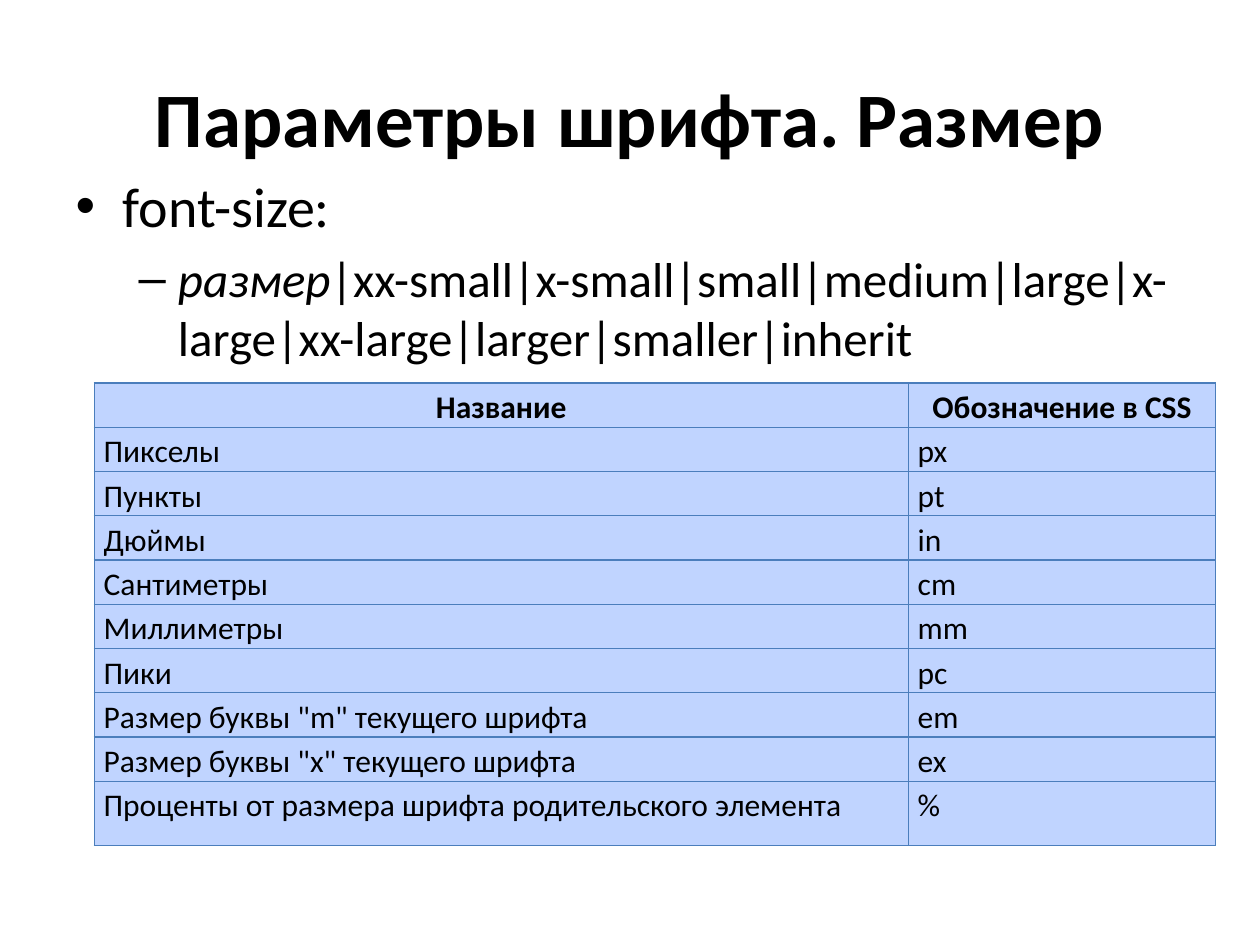
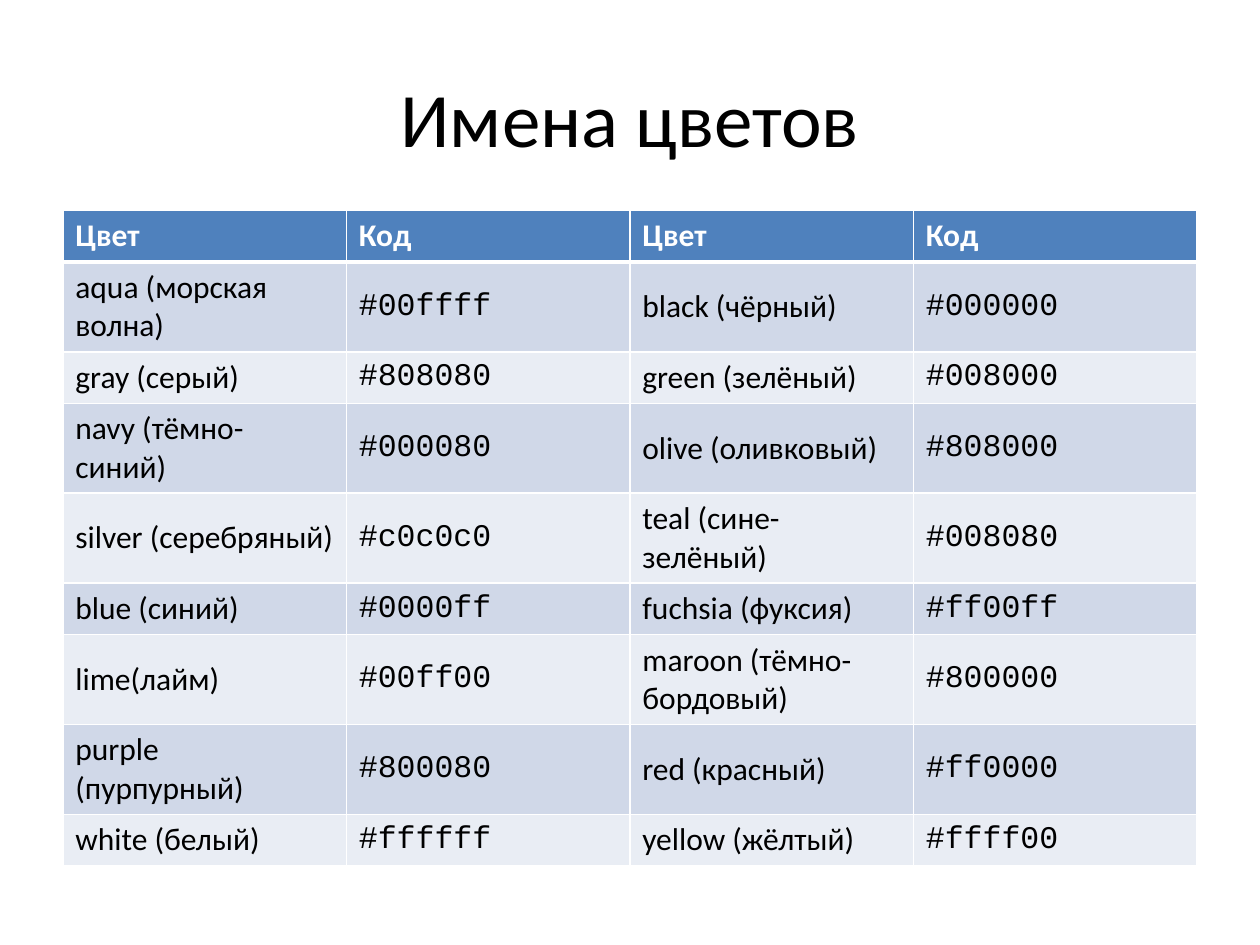
from dataclasses import dataclass

from lxml import etree
from pptx import Presentation
from pptx import util as u
from pptx.dml.color import RGBColor
from pptx.enum import text
from pptx.oxml import ns

BODY_FONT = "Calibri"
CODE_FONT = "Courier New"
BLACK, WHITE = "000000", "FFFFFF"
TITLE_CONTENT_LAYOUT, TITLE_LAYOUT = 1, 5
ROW, TALL_ROW = 1.04, 1.78

UNITS = [
    ("Название", "Обозначение в CSS"),
    ("Пикселы", "px"),
    ("Пункты", "pt"),
    ("Дюймы", "in"),
    ("Сантиметры", "cm"),
    ("Миллиметры", "mm"),
    ("Пики", "pc"),
    ('Размер буквы "m" текущего шрифта', "em"),
    ('Размер буквы "x" текущего шрифта', "ex"),
    ("Проценты от размера шрифта родительского элемента", "%"),
]
COLOUR_NAMES = [
    ("Цвет", "Код", "Цвет", "Код"),
    ("aqua (морская волна)", "#00ffff", "black (чёрный)", "#000000"),
    ("gray (серый)", "#808080", "green (зелёный)", "#008000"),
    ("navy (тёмно-синий)", "#000080", "olive (оливковый)", "#808000"),
    ("silver (серебряный)", "#c0c0c0", "teal (сине-зелёный)", "#008080"),
    ("blue (синий)", "#0000ff", "fuchsia (фуксия)", "#ff00ff"),
    ("lime(лайм)", "#00ff00", "maroon (тёмно-бордовый)", "#800000"),
    ("purple (пурпурный)", "#800080", "red (красный)", "#ff0000"),
    ("white (белый)", "#ffffff", "yellow (жёлтый)", "#ffff00"),
]


@dataclass
class TableStyle:
    header_fill: str
    band_fills: tuple
    header_color: str
    header_align: text.PP_ALIGN
    border_color: str
    border_width: float
    header_rule: float
    margins: tuple
    anchor: text.MSO_ANCHOR
    line_spacing: float


UNITS_STYLE = TableStyle(
    "C0D4FF", ("C0D4FF",), BLACK, text.PP_ALIGN.CENTER, "4B7EBC", 0.75, 0.75,
    (0.19, 0), text.MSO_ANCHOR.TOP, 1.15)
COLOURS_STYLE = TableStyle(
    "4F81BD", ("D0D8E8", "E9EDF4"), WHITE, text.PP_ALIGN.LEFT, WHITE, 1, 3,
    (0.25, 0.13), text.MSO_ANCHOR.MIDDLE, 1.0)


def rgb(value):
    return RGBColor.from_string(value)


def format_font(font, size, color=BLACK, bold=False, name=BODY_FONT):
    font.name = name
    font.size = u.Pt(size)
    font.bold = bold
    font.color.rgb = rgb(color)


def place(shape, left, top, width, height):
    shape.left, shape.top = u.Cm(left), u.Cm(top)
    shape.width, shape.height = u.Cm(width), u.Cm(height)


def add_titled_slide(presentation, layout, title, bold=False):
    slide = presentation.slides.add_slide(presentation.slide_layouts[layout])
    shape = slide.shapes.title
    place(shape, 1.27, 0.76, 22.86, 3.18)
    shape.text_frame.text = title
    shape.text_frame.vertical_anchor = text.MSO_ANCHOR.MIDDLE
    paragraph = shape.text_frame.paragraphs[0]
    paragraph.alignment = text.PP_ALIGN.CENTER
    format_font(paragraph.runs[0].font, 44, bold=bold)
    return slide


def fill_property_list(slide, name, variable, keywords):
    body = slide.placeholders[1]
    place(body, 1.27, 3.33, 24.13, 14.6)
    body.text_frame.text = name
    format_font(body.text_frame.paragraphs[0].runs[0].font, 32)
    values = body.text_frame.add_paragraph()
    values.level = 1
    values.text = variable
    values.add_run().text = keywords
    for run in values.runs:
        format_font(run.font, 28)
    values.runs[0].font.italic = True


def set_borders(cell, color, widths):
    properties = cell._tc.get_or_add_tcPr()
    for side, width in zip("LRTB", widths):
        line = etree.SubElement(properties, ns.qn(f"a:ln{side}"), w=str(u.Pt(width)))
        fill = etree.SubElement(line, ns.qn("a:solidFill"))
        etree.SubElement(fill, ns.qn("a:srgbClr"), val=color)


def format_cell(cell, value, row, style):
    header = row == 0
    thin = style.border_width
    top = style.header_rule if row == 1 else thin
    bottom = style.header_rule if header else thin
    set_borders(cell, style.border_color, (thin, thin, top, bottom))
    cell.fill.solid()
    band = style.band_fills[(row - 1) % len(style.band_fills)]
    cell.fill.fore_color.rgb = rgb(style.header_fill if header else band)
    horizontal, vertical = style.margins
    cell.margin_left = cell.margin_right = u.Cm(horizontal)
    cell.margin_top = cell.margin_bottom = u.Cm(vertical)
    cell.vertical_anchor = style.anchor
    cell.text_frame.text = value
    paragraph = cell.text_frame.paragraphs[0]
    paragraph.line_spacing = style.line_spacing
    paragraph.alignment = style.header_align if header else text.PP_ALIGN.LEFT
    format_font(paragraph.runs[0].font, 18,
                color=style.header_color if header else BLACK, bold=header,
                name=CODE_FONT if value.startswith("#") else BODY_FONT)


def add_styled_table(slide, left, top, widths, heights, rows, style):
    table = slide.shapes.add_table(
        len(rows), len(widths), u.Cm(left), u.Cm(top),
        u.Cm(sum(widths)), u.Cm(sum(heights))).table
    for column, width in zip(table.columns, widths):
        column.width = u.Cm(width)
    for row, height in zip(table.rows, heights):
        row.height = u.Cm(height)
    for row_index, values in enumerate(rows):
        for column_index, value in enumerate(values):
            format_cell(table.cell(row_index, column_index), value, row_index, style)


def main():
    presentation = Presentation()
    presentation.slide_width, presentation.slide_height = u.Cm(25.4), u.Cm(19.05)

    sizes = add_titled_slide(presentation, TITLE_CONTENT_LAYOUT,
                             "Параметры шрифта. Размер", bold=True)
    fill_property_list(
        sizes, "font-size:", "размер",
        "|xx-small|x-small|small|medium|large|x-large|xx-large|larger|smaller|inherit")
    unit_heights = [0.89] * (len(UNITS) - 1) + [1.3]
    add_styled_table(sizes, 1.9, 7.72, [16.41, 6.2], unit_heights, UNITS, UNITS_STYLE)

    colours = add_titled_slide(presentation, TITLE_LAYOUT, "Имена цветов")
    colour_heights = [ROW, TALL_ROW, ROW, TALL_ROW, TALL_ROW,
                      ROW, TALL_ROW, TALL_ROW, ROW]
    add_styled_table(colours, 1.27, 4.24, [5.715] * 4, colour_heights,
                     COLOUR_NAMES, COLOURS_STYLE)

    presentation.save("out.pptx")


if __name__ == "__main__":
    main()
